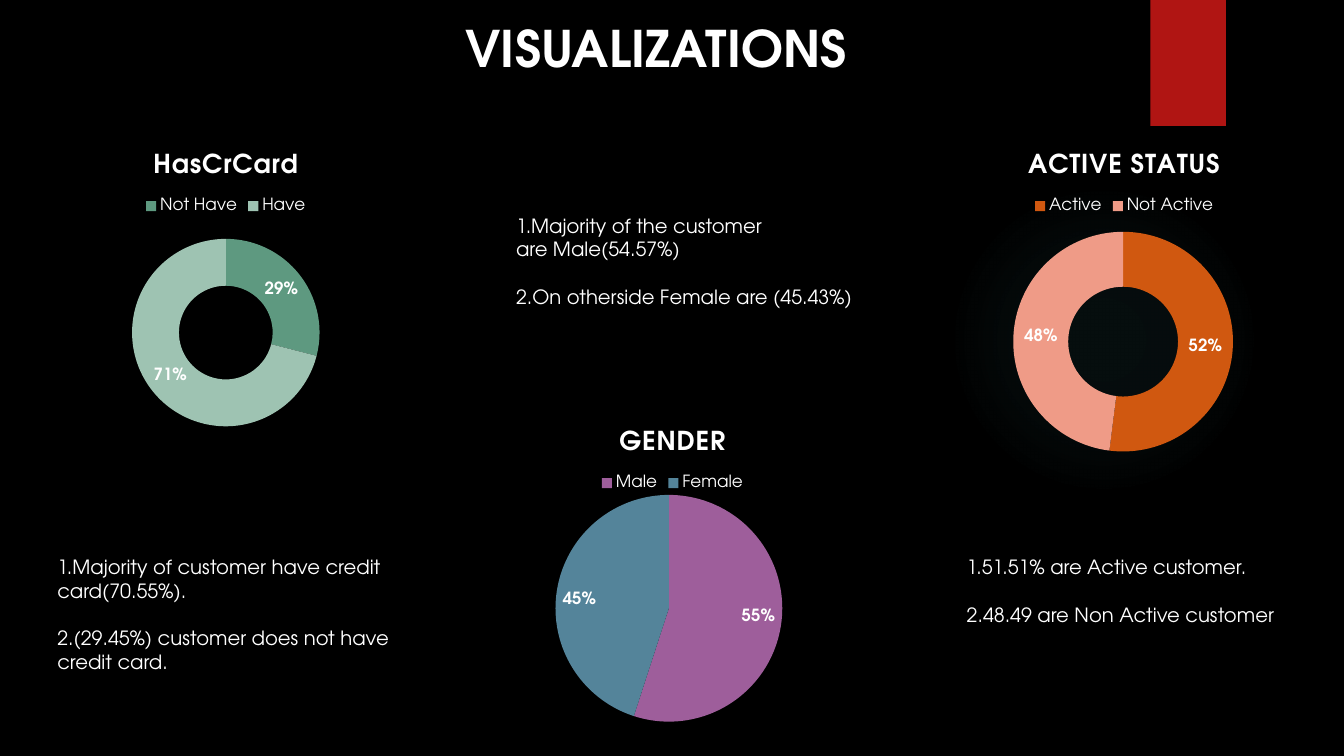
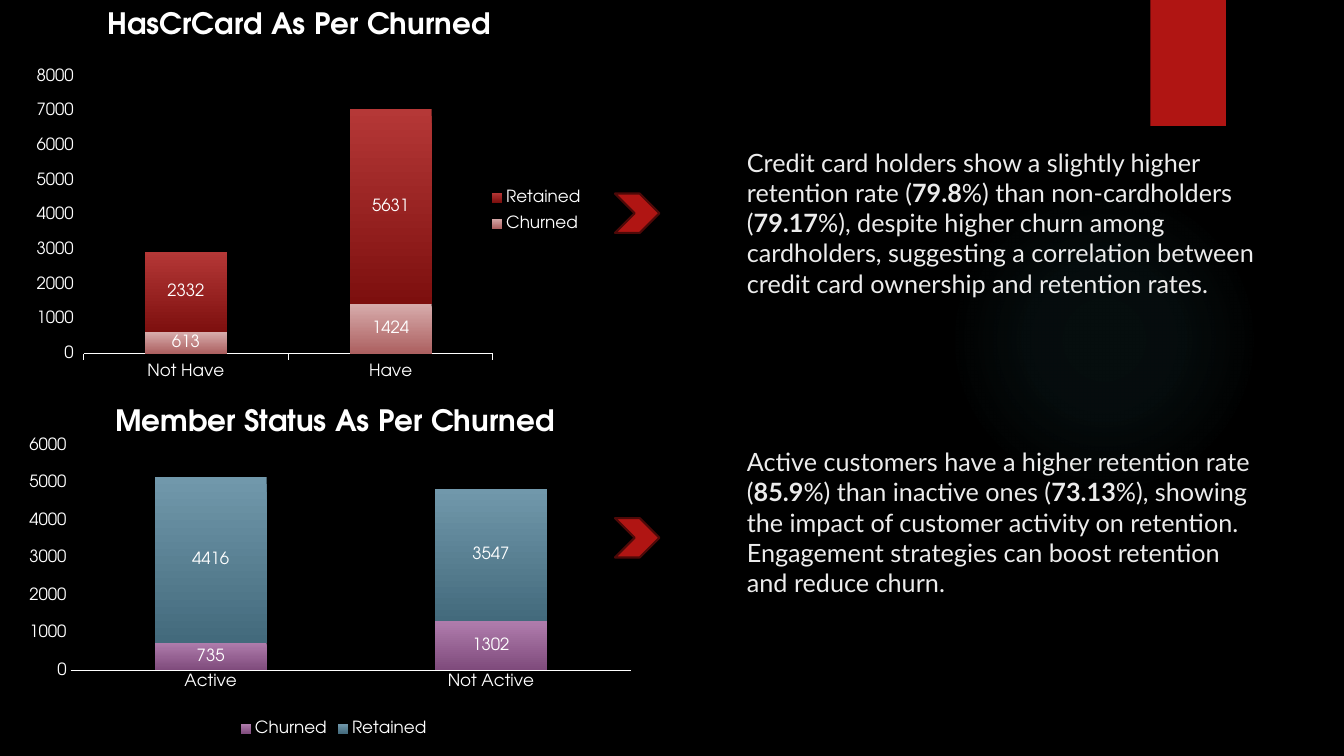
"""Build two slides of customer charts with their findings."""
import lxml.etree
import pptx
import pptx.chart.data
import pptx.dml.color
import pptx.enum.chart
import pptx.enum.shapes
import pptx.enum.text
import pptx.oxml
import pptx.oxml.ns
import pptx.util

PX = 9144
HEADING_FONT = "TeX Gyre Adventor"
BODY_FONT = "Lato"
BLACK, WHITE, PALE = "000000", "FFFFFF", "ECECEC"
RED, DARK_RED, TEAL = "B01513", "4D0908", "50B9C1"
HARD_SPACE = chr(160)

CHART = pptx.enum.chart.XL_CHART_TYPE
LEGEND = pptx.enum.chart.XL_LEGEND_POSITION
LABEL = pptx.enum.chart.XL_LABEL_POSITION
TICK = pptx.enum.chart.XL_TICK_MARK
SHAPE = pptx.enum.shapes.MSO_SHAPE
qn = pptx.oxml.ns.qn


def rgb(value):
    """Turn a hex string into a colour."""
    return pptx.dml.color.RGBColor.from_string(value)


def emu(box):
    """Turn px lengths into EMU."""
    return [length * PX for length in box]


def style_font(font, size, color=WHITE, bold=False, name=HEADING_FONT):
    """Set the size, colour, weight and typeface of a font."""
    font.size = pptx.util.Pt(size)
    font.color.rgb = rgb(color)
    font.bold = bold
    font.name = name


def add_text(page, box, paragraphs, size, color=WHITE, bold=False,
             name=HEADING_FONT, numbered=False, gap=0):
    """Add a text box; ** marks switch bold on and off."""
    frame = page.shapes.add_textbox(*emu(box)).text_frame
    frame.word_wrap = True
    frame.auto_size = pptx.enum.text.MSO_AUTO_SIZE.SHAPE_TO_FIT_TEXT
    for index, text in enumerate(paragraphs):
        para = frame.add_paragraph() if index else frame.paragraphs[0]
        if index:
            para.space_before = pptx.util.Pt(gap)
        if numbered:
            properties = para._p.get_or_add_pPr()
            properties.set("marL", "0")
            properties.set("indent", "0")
            lxml.etree.SubElement(properties, qn("a:buAutoNum"), type="arabicPeriod")
        for part, content in enumerate(text.split("**")):
            span = para.add_run()
            span.text = content
            style_font(span.font, size, color, bold or part % 2 == 1, name)


def add_shape(page, kind, box, fill, line=None):
    """Add a flat preset shape."""
    shape = page.shapes.add_shape(kind, *emu(box))
    shape.shadow.inherit = False
    shape.fill.solid()
    shape.fill.fore_color.rgb = rgb(fill)
    if line:
        shape.line.color.rgb = rgb(line)
        shape.line.width = pptx.util.Pt(1.5)
    else:
        shape.line.fill.background()
    return shape


def add_glow(page):
    """Add the faint round glow."""
    glow = add_shape(page, SHAPE.OVAL, (941, 183, 308, 308), TEAL)
    stops = "".join(
        f'<a:gs pos="{place}000"><a:srgbClr val="{TEAL}">'
        f'<a:alpha val="{alpha}000"/></a:srgbClr></a:gs>'
        for place, alpha in ((0, 7), (36, 6), (69, 0)))
    gradient = pptx.oxml.parse_xml(
        f'<a:gradFill {pptx.oxml.ns.nsdecls("a")} rotWithShape="1">'
        f'<a:gsLst>{stops}</a:gsLst><a:path path="circle">'
        '<a:fillToRect l="50000" t="50000" r="50000" b="50000"/>'
        '</a:path></a:gradFill>')
    properties = glow.element.spPr
    properties.replace(properties.find(qn("a:solidFill")), gradient)


def add_page(deck):
    """Add a blank page with the shared glow and red band."""
    page = deck.slides.add_slide(deck.slide_layouts[6])
    add_glow(page)
    add_shape(page, SHAPE.RECTANGLE, (1141, 0, 75, 125), RED)
    return page


def place_part(chart, part, area, box):
    """Fix a chart part at an area in px inside the chart box."""
    parent = chart.element.find(".//" + qn("c:" + part))
    for old in parent.findall(qn("c:layout")):
        parent.remove(old)
    layout = lxml.etree.Element(qn("c:layout"))
    manual = lxml.etree.SubElement(layout, qn("c:manualLayout"))
    settings = [("xMode", "edge"), ("yMode", "edge")]
    if part == "plotArea":
        settings.insert(0, ("layoutTarget", "inner"))
    sizes = box[2:] * 2
    settings += [(tag, str(length / size))
                 for tag, length, size in zip("xywh", area, sizes)]
    for tag, value in settings:
        lxml.etree.SubElement(manual, qn("c:" + tag), val=value)
    before = {"plotArea": None, "title": "c:tx", "legend": "c:legendPos"}[part]
    parent.insert(parent.index(parent.find(qn(before))) + 1 if before else 0, layout)


def add_chart(page, kind, box, title, categories, series, legend, area,
              title_size, title_spacing=0):
    """Add a chart with a bold title, a legend and a fixed plot area."""
    data = pptx.chart.data.CategoryChartData()
    data.categories = categories
    for name, values in series:
        data.add_series(name, values)
    chart = page.shapes.add_chart(kind, *emu(box), data).chart
    style_font(chart.font, 12)
    chart.has_title = True
    span = chart.chart_title.text_frame.paragraphs[0].add_run()
    span.text = title
    style_font(span.font, title_size, bold=True)
    if title_spacing:
        span.font._element.set("spc", str(title_spacing))
    chart.has_legend = True
    chart.legend.position = legend
    chart.legend.include_in_layout = False
    style_font(chart.legend.font, 12)
    place_part(chart, "plotArea", area, box)
    return chart


def add_share_chart(page, kind, box, title, shares, colors, area):
    """Add a pie or doughnut of percentages."""
    chart = add_chart(page, kind, box, title, list(shares),
                      [(title, list(shares.values()))], LEGEND.TOP, area, 18.6, 50)
    plot = chart.plots[0]
    plot.vary_by_categories = True
    for index, color in enumerate(colors):
        fill = plot.series[0].points[index].format.fill
        fill.solid()
        fill.fore_color.rgb = rgb(color)
    plot.has_data_labels = True
    labels = plot.data_labels
    labels.show_percentage = True
    labels.show_value = False
    labels.number_format = "0%"
    labels.number_format_is_linked = False
    style_font(labels.font, 12, bold=True)
    if kind == CHART.PIE:
        labels.position = LABEL.INSIDE_END


def add_churn_chart(page, box, title, categories, series, gradients, legend,
                    area, title_at, top, tick):
    """Add stacked columns of churned and retained customers."""
    chart = add_chart(page, CHART.COLUMN_STACKED, box, title, categories,
                      series, legend, area, 21)
    place_part(chart, "title", title_at, box)
    plot = chart.plots[0]
    plot.vary_by_categories = False
    plot.gap_width = 150
    plot.overlap = 100
    for bars, colors in zip(plot.series, gradients):
        fill = bars.format.fill
        fill.gradient()
        fill.gradient_angle = 270
        for stop, color in zip(fill.gradient_stops, colors):
            stop.color.rgb = rgb(color)
    plot.has_data_labels = True
    plot.data_labels.show_value = True
    plot.data_labels.position = LABEL.CENTER
    style_font(plot.data_labels.font, 12)
    for axis in (chart.category_axis, chart.value_axis):
        axis.has_major_gridlines = False
        axis.major_tick_mark = tick
        axis.minor_tick_mark = TICK.NONE
        style_font(axis.tick_labels.font, 12)
    chart.category_axis.format.line.color.rgb = rgb(WHITE)
    chart.category_axis.format.line.width = pptx.util.Pt(0.75)
    chart.value_axis.format.line.fill.background()
    chart.value_axis.minimum_scale = 0
    chart.value_axis.maximum_scale = top
    chart.value_axis.major_unit = 1000
    return chart


def add_findings(page, box, findings):
    """Add a numbered list of findings."""
    add_text(page, box, findings, 14, numbered=True, gap=17)


def add_insight(page, arrow_top, text_top, text):
    """Add a chevron and the insight it points to."""
    add_shape(page, SHAPE.CHEVRON, (610, arrow_top, 44, 39), RED, DARK_RED)
    add_text(page, (731, text_top, 524, 162), [text], 18, color=PALE, name=BODY_FONT)


def build_shares(deck):
    """Build the page of customer shares."""
    page = add_page(deck)
    add_text(page, (452, 12, 429, 71), ["VISUALIZATIONS"], 36, bold=True)
    add_share_chart(page, CHART.DOUGHNUT, (-2, 134, 452, 328), "HasCrCard",
                    {"Not Have": 29, "Have": 71}, ("5E9980", "9EC3B2"),
                    (133, 103, 186, 186))
    add_share_chart(page, CHART.DOUGHNUT, (896, 134, 438, 328), "ACTIVE STATUS",
                    {"Active": 52, "Not Active": 48}, ("D05810", "EF9B87"),
                    (109, 96, 218, 218))
    add_share_chart(page, CHART.PIE, (441, 409, 452, 317), "GENDER",
                    {"Male": 55, "Female": 45}, ("9E5E9B", "54849A"),
                    (109, 82, 227, 225))
    add_findings(page, (502, 207, 365, 135),
                 [f"Majority of the customer are{HARD_SPACE}Male(54.57%)",
                  "On otherside Female are (45.43%)"])
    add_findings(page, (47, 546, 353, 158),
                 ["Majority of customer have credit card(70.55%).",
                  "(29.45%) customer does not have credit card."])
    add_findings(page, (949, 546, 373, 111),
                 ["51.51% are Active customer.",
                  "48.49 are Non Active customer"])


def build_churn(deck):
    """Build the page of churn by card and by activity."""
    page = add_page(deck)
    card_box = (0, 0, 595, 388)
    card_chart = add_churn_chart(
        page, card_box, "HasCrCard As Per Churned", ["Not Have", "Have"],
        [("Churned", (613, 1424)), ("Retained", (2332, 5631))],
        [("D7ABAB", "AC6060"), ("B53837", "7D0F0E")],
        LEGEND.RIGHT, (83, 76, 406, 275), (101, 4), 8000, TICK.OUTSIDE)
    place_part(card_chart, "legend", (482, 178, 100, 62), card_box)
    add_churn_chart(
        page, (17, 394, 628, 341), "Member Status As Per Churned",
        ["Active", "Not Active"],
        [("Churned", (735, 1302)), ("Retained", (4416, 3547))],
        [("AF7CAC", "7F4B7C"), ("7198AB", "436A7C")],
        LEGEND.BOTTOM, (53, 48, 556, 223), (92, 3), 6000, TICK.NONE)
    add_insight(page, 192, 141,
                "Credit card holders show a slightly higher retention rate "
                "(**79.8**%) than non-cardholders (**79.17**%), despite higher "
                "churn among cardholders, suggesting a correlation between "
                "credit card ownership and retention rates.")
    add_insight(page, 514, 438,
                "Active customers have a higher retention rate (**85.9**%) than "
                "inactive ones (**73.13**%), showing the impact of customer "
                "activity on retention. Engagement strategies can boost "
                "retention and reduce churn.")


def main():
    """Build and save the deck."""
    deck = pptx.Presentation()
    deck.slide_width, deck.slide_height = emu((1333, 750))
    background = deck.slide_master.background.fill
    background.solid()
    background.fore_color.rgb = rgb(BLACK)
    build_shares(deck)
    build_churn(deck)
    deck.save("out.pptx")


if __name__ == "__main__":
    main()
